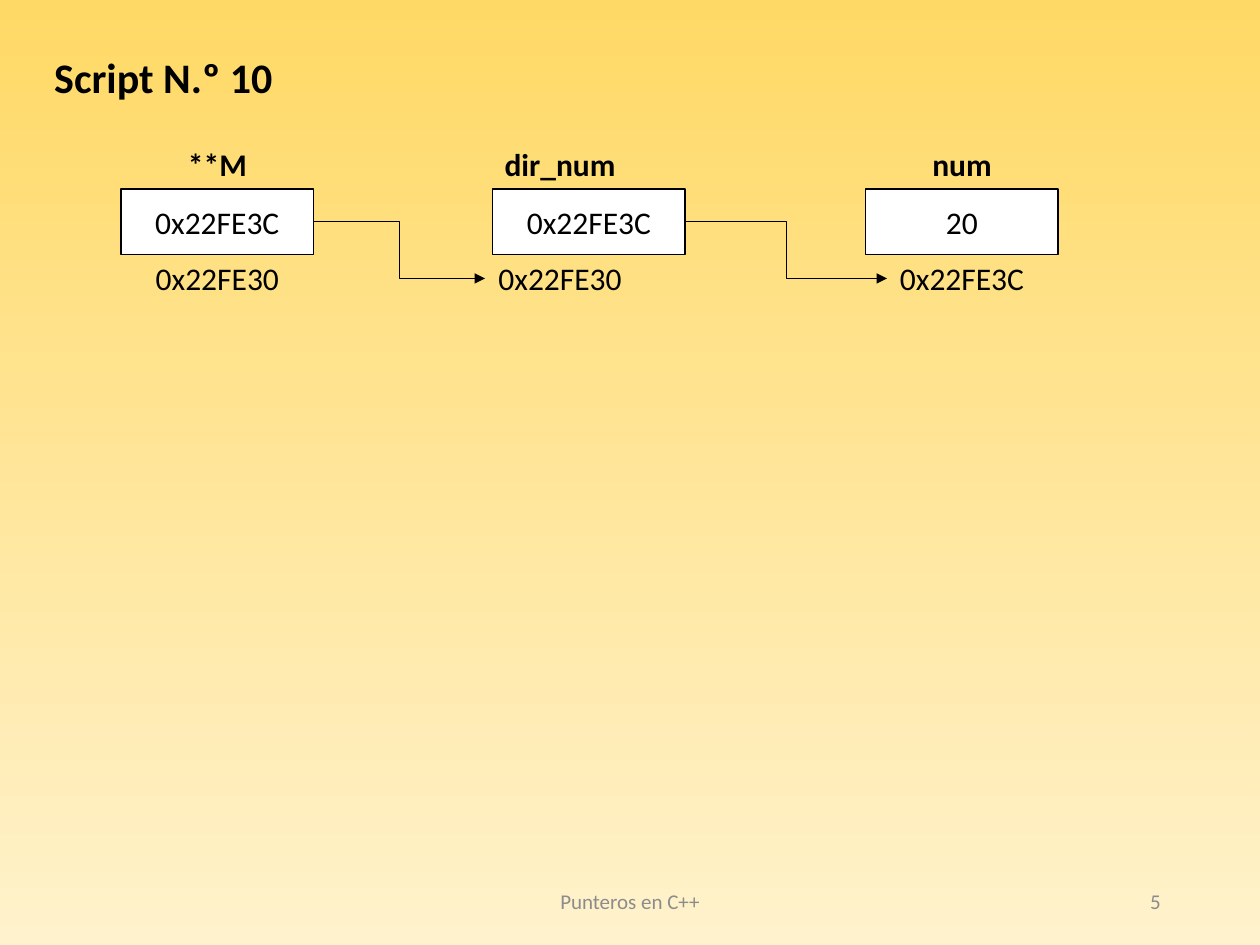
import pptx
import pptx.util
import pptx.dml.color
import pptx.enum.shapes
import pptx.enum.text
import pptx.oxml
import pptx.oxml.ns
from pptx.util import Inches

COLORS = {"top": "FFD966", "bottom": "FFF2CC", "ink": "000000",
          "cell": "FFFFFF", "footer": "8C8C8C"}
ALIGN = pptx.enum.text.PP_ALIGN
ANCHOR = pptx.enum.text.MSO_ANCHOR


def rgb(key):
    return pptx.dml.color.RGBColor.from_string(COLORS[key])


def write(shape, text, size=18, bold=False, color="ink", align=ALIGN.CENTER,
          anchor=ANCHOR.TOP, wrap=True):
    frame = shape.text_frame
    frame.word_wrap = wrap
    frame.vertical_anchor = anchor
    paragraph = frame.paragraphs[0]
    paragraph.alignment = align
    run = paragraph.add_run()
    run.text = text
    run.font.name = "Calibri"
    run.font.size = pptx.util.Pt(size)
    run.font.bold = bold
    run.font.color.rgb = rgb(color)


deck = pptx.Presentation()
deck.slide_width, deck.slide_height = Inches(10), Inches(7.5)
slide = deck.slides.add_slide(deck.slide_layouts[5])
shapes = slide.shapes

# Background gradient, running downwards
background = slide.background.fill
background.gradient()
background.gradient_angle = 270
for stop, position, key in zip(background.gradient_stops, (0, 1), ("top", "bottom")):
    stop.position = position
    stop.color.rgb = rgb(key)

# Title
title = shapes.title
title.left, title.top = Inches(0.33), Inches(0.36)
title.width, title.height = Inches(1.95), Inches(0.5)
write(title, "Script N.º 10", size=24, bold=True, align=ALIGN.LEFT, wrap=False)
title.text_frame.auto_size = pptx.enum.text.MSO_AUTO_SIZE.NONE

# Footer and slide number
for text, left, width, align in [("Punteros en C++", 3.31, 3.38, ALIGN.CENTER),
                                 ("5", 7.06, 2.25, ALIGN.RIGHT)]:
    footer = shapes.add_textbox(Inches(left), Inches(6.95), Inches(width), Inches(0.4))
    write(footer, text, size=12, color="footer", align=align, anchor=ANCHOR.MIDDLE)

# Variables: name above, value in the cell, address below
variables = [  # name, name left, value, cell left, address, address left
    ("**M", 1.15, "0x22FE3C", 0.96, "0x22FE30", 1.13),
    ("dir_num", 3.87, "0x22FE3C", 3.91, "0x22FE30", 3.85),
    ("num", 7.06, "20", 6.87, "0x22FE3C", 7.04),
]
cells, addresses = [], []
for name, name_left, value, cell_left, address, address_left in variables:
    name_label = shapes.add_textbox(Inches(name_left), Inches(1.1), Inches(1.15), Inches(0.4))
    write(name_label, name, bold=True)

    cell = shapes.add_shape(pptx.enum.shapes.MSO_SHAPE.RECTANGLE, Inches(cell_left),
                            Inches(1.5), Inches(1.53), Inches(0.52))
    cell.shadow.inherit = False
    cell.fill.solid()
    cell.fill.fore_color.rgb = rgb("cell")
    cell.line.color.rgb = rgb("ink")
    cell.line.width = pptx.util.Pt(1)
    write(cell, value, anchor=ANCHOR.MIDDLE)
    cells.append(cell)

    address_label = shapes.add_textbox(Inches(address_left), Inches(2.01),
                                       Inches(1.19), Inches(0.4))
    write(address_label, address, wrap=False)
    addresses.append(address_label)

# Pointers: from each cell to the next variable's address
for cell, target in zip(cells, addresses[1:]):
    pointer = shapes.add_connector(pptx.enum.shapes.MSO_CONNECTOR.ELBOW, 0, 0, 0, 0)
    pointer.begin_connect(cell, 3)
    pointer.end_connect(target, 1)
    pointer.line.color.rgb = rgb("ink")
    pointer.line.width = pptx.util.Pt(0.5)
    arrowhead = pptx.oxml.parse_xml(
        f'<a:tailEnd {pptx.oxml.ns.nsdecls("a")} type="triangle"/>')
    pointer.line._get_or_add_ln().append(arrowhead)
    no_shadow = pptx.oxml.parse_xml(f'<a:effectLst {pptx.oxml.ns.nsdecls("a")}/>')
    pointer._element.spPr.append(no_shadow)

deck.save("out.pptx")
